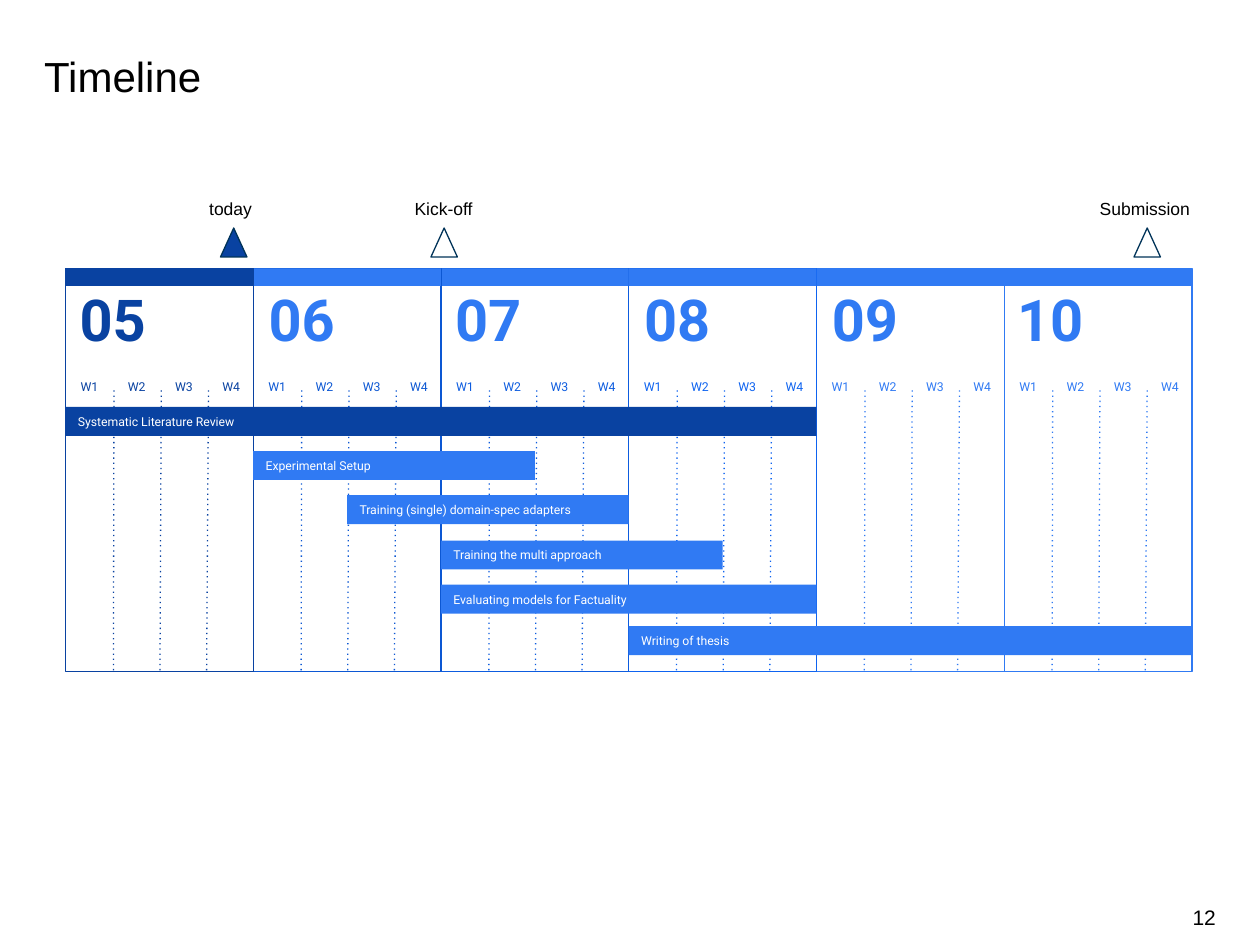
from pptx import Presentation
from pptx.dml.color import RGBColor
from pptx.enum.dml import MSO_LINE
from pptx.enum.shapes import MSO_CONNECTOR, MSO_SHAPE
from pptx.enum.text import MSO_ANCHOR, PP_ALIGN
from pptx.oxml.ns import qn
from pptx.oxml.xmlchemy import OxmlElement
from pptx.util import Inches, Pt

RECTANGLE = MSO_SHAPE.RECTANGLE
TRIANGLE = MSO_SHAPE.FLOWCHART_EXTRACT
STRAIGHT = MSO_CONNECTOR.STRAIGHT
DOTTED = MSO_LINE.ROUND_DOT
LEFT, CENTER, RIGHT = PP_ALIGN.LEFT, PP_ALIGN.CENTER, PP_ALIGN.RIGHT
TOP, MIDDLE = MSO_ANCHOR.TOP, MSO_ANCHOR.MIDDLE

BLACK = RGBColor(0x00, 0x00, 0x00)
WHITE = RGBColor(0xFF, 0xFF, 0xFF)
NAVY = RGBColor(0x09, 0x42, 0xA1)
BLUE = RGBColor(0x30, 0x7A, 0xF3)
OUTLINE = RGBColor(0x00, 0x33, 0x59)
JUNE = RGBColor(0x0C, 0x57, 0xD3)
JULY = RGBColor(0x0D, 0x5C, 0xDF)
AUGUST = RGBColor(0x0E, 0x63, 0xF0)

GRID_LEFT, GRID_TOP, GRID_HEIGHT = 0.52, 2.13, 3.2
MONTH_WIDTH = 1.49
WEEK_WIDTH = MONTH_WIDTH / 4


def write(box, text, size=7, font="Roboto", color=BLACK, bold=False,
          align=CENTER, anchor=MIDDLE, margins=(0.1, 0.1), wrap=False):
    frame = box.text_frame
    frame.word_wrap = wrap
    frame.vertical_anchor = anchor
    frame.margin_left = frame.margin_right = Inches(margins[0])
    frame.margin_top = frame.margin_bottom = Inches(margins[1])
    para = frame.paragraphs[0]
    para.alignment = align
    span = para.add_run()
    span.text = text
    span.font.size = Pt(size)
    span.font.name = font
    span.font.bold = bold
    span.font.color.rgb = color


def draw(kind, left, top, width, height, fill=None, line=None):
    shape = page.shapes.add_shape(
        kind, Inches(left), Inches(top), Inches(width), Inches(height))
    shape.shadow.inherit = False
    if fill is None:
        shape.fill.background()
    else:
        shape.fill.solid()
        shape.fill.fore_color.rgb = fill
    if line is None:
        shape.line.fill.background()
    else:
        shape.line.color.rgb = line
        shape.line.width = Pt(0.75)
    return shape


deck = Presentation()
deck.slide_width, deck.slide_height = Inches(10), Inches(7.5)
page = deck.slides.add_slide(deck.slide_layouts[5])

title = page.shapes.title
title.left, title.top = Inches(0.35), Inches(0.34)
title.width, title.height = Inches(9.31), Inches(0.4)
write(title, "Timeline", size=24, font="Arial", align=LEFT, anchor=TOP,
      margins=(0, 0), wrap=True)
title.text_frame.margin_top = Inches(0.03)
title.text_frame.paragraphs[0].line_spacing = 1.07

number = page.shapes.add_textbox(Inches(7.41), Inches(7.08), Inches(2.24), Inches(0.4))
write(number, "12", size=12, font="Arial", align=RIGHT, margins=(0, 0.05), wrap=True)

months = [
    ("05", NAVY, NAVY, 0.53),
    ("06", JUNE, BLUE, 2.03),
    ("07", JULY, BLUE, 3.51),
    ("08", AUGUST, BLUE, 5.01),
    ("09", BLUE, BLUE, 6.5),
    ("10", BLUE, BLUE, 7.97),
]
for index, (month, grid_color, header_color, label_left) in reversed(list(enumerate(months))):
    left = GRID_LEFT + index * MONTH_WIDTH
    draw(RECTANGLE, left, GRID_TOP, MONTH_WIDTH, GRID_HEIGHT, line=grid_color)
    draw(RECTANGLE, left, GRID_TOP, MONTH_WIDTH, 0.14, fill=header_color)
    for week in range(4):
        if week:
            divider = page.shapes.add_connector(
                STRAIGHT, Inches(left + 0.01 + 0.37 * week), Inches(5.32),
                Inches(left + 0.01 + 0.375 * week), Inches(3.07))
            divider.line.color.rgb = grid_color
            divider.line.width = Pt(0.75)
            divider.line.dash_style = DOTTED
            properties = divider._element.spPr
            for dash in properties.iter(qn("a:prstDash")):
                dash.set("val", "dot")
            properties.append(OxmlElement("a:effectLst"))
        week_label = page.shapes.add_textbox(
            Inches(left + 0.01 + 0.375 * week), Inches(2.97), Inches(0.36), Inches(0.2))
        write(week_label, f"W{week + 1}", color=grid_color)
    month_label = page.shapes.add_textbox(
        Inches(label_left), Inches(2.26), Inches(0.73), Inches(0.53))
    write(month_label, month, size=33, color=header_color, bold=True)

tasks = [
    ("Systematic Literature Review", 0, 16, 3.23, NAVY),
    ("Experimental Setup", 4, 10, 3.58, BLUE),
    ("Training (single) domain-spec adapters", 6, 12, 3.93, BLUE),
    ("Training the multi approach", 8, 14, 4.29, BLUE),
    ("Evaluating models for Factuality", 8, 16, 4.64, BLUE),
    ("Writing of thesis", 12, 24, 4.97, BLUE),
]
for name, start, end, top, color in tasks:
    bar = draw(RECTANGLE, GRID_LEFT + start * WEEK_WIDTH, top,
               (end - start) * WEEK_WIDTH, 0.23, fill=color)
    write(bar, name, color=WHITE, align=LEFT, wrap=True)

milestones = [
    ("today", 1.75, NAVY, 1.53, 0.6),
    ("Kick-off", 3.42, WHITE, 3.13, 0.78),
    ("Submission", 9, WHITE, 8.59, 0.99),
]
for name, left, fill, label_left, label_width in milestones:
    draw(TRIANGLE, left, 1.81, 0.21, 0.23, fill=fill, line=OUTLINE)
    label = page.shapes.add_textbox(
        Inches(label_left), Inches(1.5), Inches(label_width), Inches(0.31))
    write(label, name, size=10, font="Arial")

deck.save("out.pptx")
